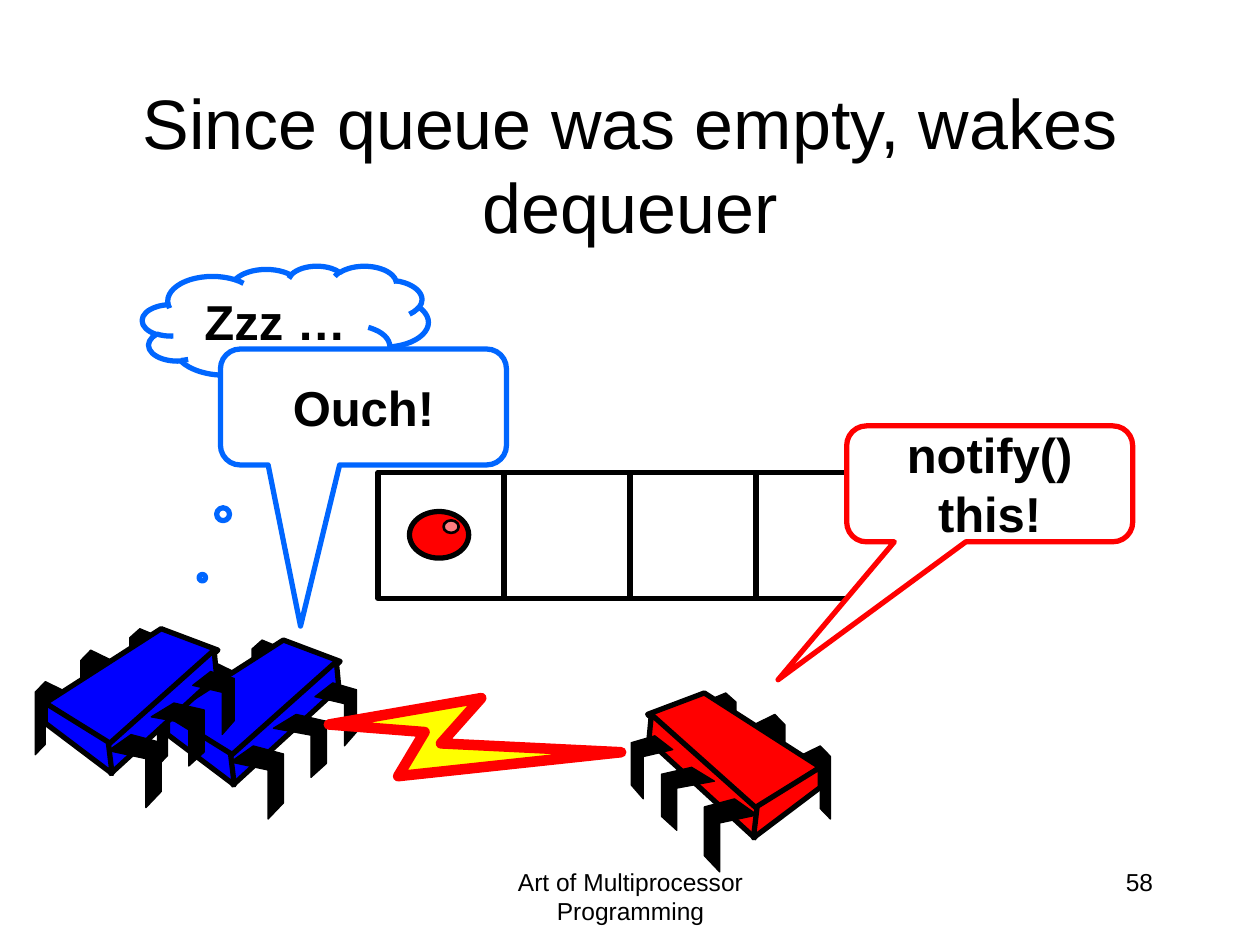
from dataclasses import dataclass

from lxml import etree
from pptx import Presentation
from pptx.dml.color import RGBColor
from pptx.enum.shapes import MSO_CONNECTOR, MSO_SHAPE
from pptx.enum.text import MSO_ANCHOR, PP_ALIGN
from pptx.oxml.ns import qn
from pptx.util import Pt

EMU_PER_PX = 9144
RECTANGLE = MSO_SHAPE.RECTANGLE
ELLIPSE = MSO_SHAPE.OVAL
CLOUD = MSO_SHAPE.CLOUD_CALLOUT
SPEECH = MSO_SHAPE.ROUNDED_RECTANGULAR_CALLOUT
STRAIGHT = MSO_CONNECTOR.STRAIGHT
CENTER, RIGHT = PP_ALIGN.CENTER, PP_ALIGN.RIGHT
TOP, MIDDLE = MSO_ANCHOR.TOP, MSO_ANCHOR.MIDDLE


@dataclass(frozen=True)
class Theme:
    font: str = "Arial"
    black: str = "000000"
    white: str = "FFFFFF"
    blue: str = "0000FF"
    sky: str = "0066FF"
    red: str = "FF0000"
    pink: str = "FF7C80"
    yellow: str = "FFFF00"
    title_size: int = 40
    speech_size: int = 28
    footer_size: int = 14
    hairline: float = 0.75
    thin: float = 1.5
    normal: float = 3
    heavy: float = 6


THEME = Theme()


def emu(*lengths):
    return [round(length * EMU_PER_PX) for length in lengths]


def write_text(box, text, *, size, bold=False, align=CENTER, anchor=MIDDLE):
    frame = box.text_frame
    frame.word_wrap = True
    frame.vertical_anchor = anchor
    frame.margin_left = frame.margin_right = Pt(7.2)
    frame.margin_top = frame.margin_bottom = Pt(3.6)
    para = frame.paragraphs[0]
    para.alignment = align
    span = para.add_run()
    span.text = text
    span.font.name = THEME.font
    span.font.size = Pt(size)
    span.font.bold = bold
    span.font.color.rgb = RGBColor.from_string(THEME.black)


def far_leg(left, top, height):
    unit = height / 7
    steps = [(25, 1), (8, 0), (0, 1), (0, 7), (8, 6), (8, 2), (25, 3)]
    return [(left + across, top + down * unit) for across, down in steps]


def near_leg(left, top, width, height):
    ratios = [(0.43, 0), (0, 0.22), (0.71, 0.33), (0.71, 1), (1, 0.78), (1, 0.11)]
    return [(left + across * width, top + down * height) for across, down in ratios]


FAR_LEGS = [far_leg(0, 42, 58), far_leg(36, 17, 58), far_leg(75, 0, 50)]
BODY_FACES = [
    [(100, 0), (8, 59), (60, 93), (145, 17)],
    [(142, 17), (58, 92), (60, 115), (144, 38)],
    [(8, 59), (8, 75), (61, 115), (58, 90)],
]
NEAR_LEGS = [
    near_leg(58, 84, 42, 58),
    near_leg(92, 59, 42, 50),
    near_leg(125, 34, 33, 50),
]


class SlidePainter:
    def __init__(self, page, theme):
        self.page = page
        self.theme = theme

    def paint(self, shape, fill, line, weight):
        shape.shadow.inherit = False
        if fill:
            shape.fill.solid()
            shape.fill.fore_color.rgb = RGBColor.from_string(fill)
        else:
            shape.fill.background()
        shape.line.color.rgb = RGBColor.from_string(line)
        shape.line.width = Pt(weight)

    def group(self):
        return self.page.shapes.add_group_shape().shapes

    def text(self, text, bounds, **style):
        box = self.page.shapes.add_textbox(*emu(*bounds))
        write_text(box, text, **style)

    def shape(self, kind, bounds, *, fill=None, line, weight, parent=None):
        shape = (parent or self.page.shapes).add_shape(kind, *emu(*bounds))
        self.paint(shape, fill, line, weight)
        return shape

    def callout(self, kind, text, bounds, adjustments, *, fill=None, line):
        bubble = self.shape(kind, bounds, fill=fill, line=line, weight=self.theme.normal)
        for index, value in enumerate(adjustments):
            bubble.adjustments[index] = value
        write_text(bubble, text, size=self.theme.speech_size, bold=True)

    def line(self, start, end):
        connector = self.page.shapes.add_connector(STRAIGHT, *emu(*start, *end))
        connector.line.color.rgb = RGBColor.from_string(self.theme.black)
        connector.line.width = Pt(self.theme.normal)
        etree.SubElement(connector._element.spPr, qn("a:effectLst"))

    def polygon(self, points, *, fill, line, weight, parent=None):
        start, *rest = [emu(*point) for point in points]
        builder = (parent or self.page.shapes).build_freeform(*start)
        builder.add_line_segments(rest, close=True)
        self.paint(builder.convert_to_shape(), fill, line, weight)

    def thread(self, left, top, color, direction=1):
        parent = self.group()
        black = self.theme.black
        layers = [
            (FAR_LEGS, black, self.theme.hairline),
            (BODY_FACES, color, self.theme.normal),
            (NEAR_LEGS, black, self.theme.hairline),
        ]
        for outlines, fill, weight in layers:
            for outline in outlines:
                points = [(left + direction * x, top + y) for x, y in outline]
                self.polygon(points, fill=fill, line=black, weight=weight, parent=parent)

    def queue(self, left, top, cell, count):
        black, weight = self.theme.black, self.theme.normal
        for index in range(count):
            bounds = (left + index * cell, top, cell, cell)
            self.shape(RECTANGLE, bounds, line=black, weight=weight)
        open_left = left + count * cell - 8
        for edge in (top, top + cell):
            self.line((open_left, edge), (open_left + cell, edge))

    def item(self):
        theme, parent = self.theme, self.group()
        self.shape(ELLIPSE, (325, 406, 47, 37), fill=theme.red,
                   line=theme.black, weight=theme.normal, parent=parent)
        self.shape(ELLIPSE, (352, 413, 12, 10), fill=theme.pink,
                   line=theme.black, weight=theme.thin, parent=parent)


def main():
    deck = Presentation()
    deck.slide_width, deck.slide_height = emu(1000, 750)
    page = deck.slides.add_slide(deck.slide_layouts[6])
    painter = SlidePainter(page, THEME)

    painter.text("Art of Multiprocessor Programming", (342, 683, 317, 50),
                 size=THEME.footer_size, anchor=TOP)
    painter.text("58", (717, 683, 208, 50),
                 size=THEME.footer_size, align=RIGHT, anchor=TOP)
    painter.text("Since queue was empty, wakes dequeuer", (75, 67, 850, 125),
                 size=THEME.title_size)

    painter.queue(300, 375, cell=100, count=3)
    painter.thread(125, 508, THEME.blue)
    painter.thread(28, 499, THEME.blue)

    painter.callout(CLOUD, "Zzz …", (113, 211, 227, 92), (-0.29, 2.19), line=THEME.sky)
    painter.callout(SPEECH, "Ouch!", (175, 277, 227, 92), (-0.22, 1.89, 0.17),
                    fill=THEME.white, line=THEME.sky)

    bolt = [(261, 575), (382, 554), (350, 590), (493, 597), (316, 616), (337, 581)]
    painter.polygon(bolt, fill=THEME.yellow, line=THEME.red, weight=THEME.heavy)
    painter.item()
    painter.thread(659, 550, THEME.red, direction=-1)
    painter.callout(SPEECH, "notify() this!", (672, 338, 227, 92), (-0.74, 1.69, 0.17),
                    fill=THEME.white, line=THEME.red)

    deck.save("out.pptx")


if __name__ == "__main__":
    main()
